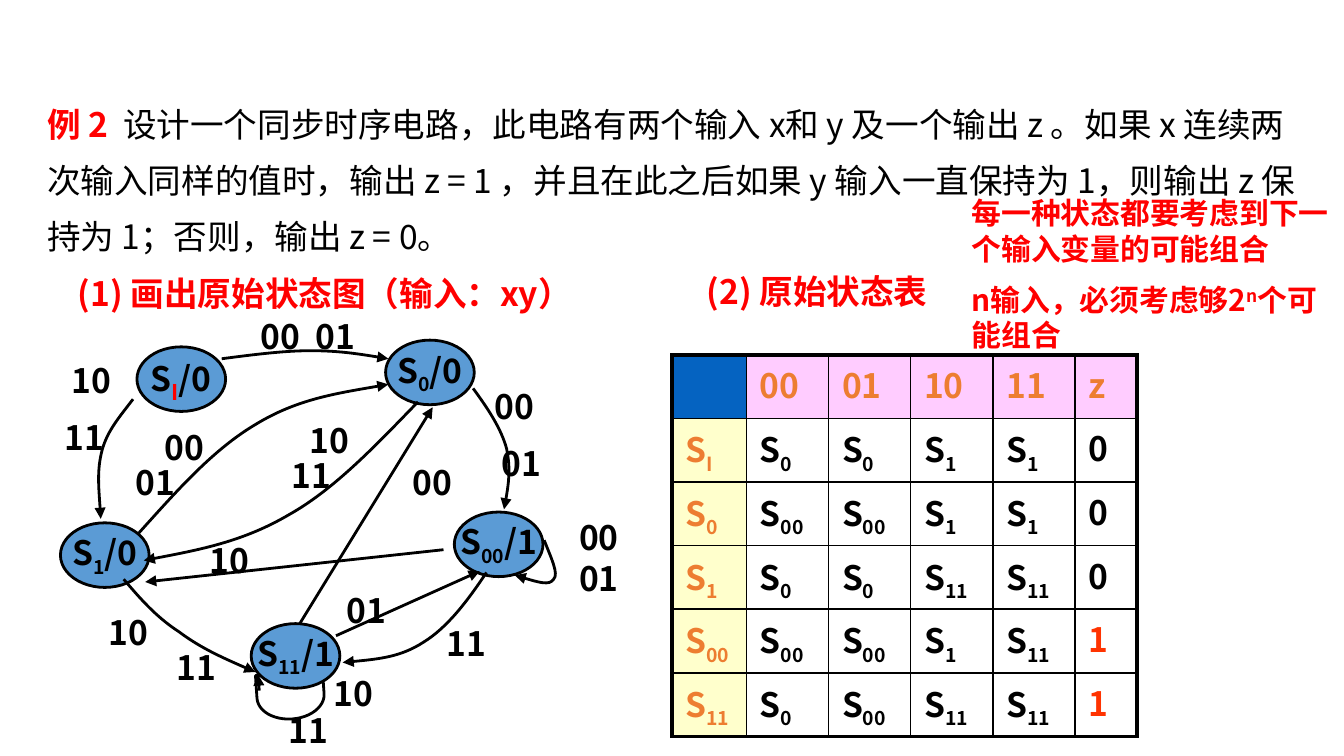
from lxml.etree import SubElement as Sub
from pptx import Presentation
from pptx.dml.color import RGBColor as RGB
from pptx.enum.shapes import MSO_CONNECTOR as Link, MSO_SHAPE as Form
from pptx.enum.text import MSO_ANCHOR as Anchor, MSO_AUTO_SIZE as Auto, PP_ALIGN as Align
from pptx.oxml.ns import qn
from pptx.util import Pt

BLACK = RGB(0, 0, 0)
WHITE = RGB(255, 255, 255)
RED = RGB(255, 0, 0)
FLAME = RGB(0xFF, 0x33, 0x00)
ORANGE = RGB(0xED, 0x7D, 0x31)
SKY = RGB(0x5B, 0x9B, 0xD5)
NAVY = RGB(0x05, 0x63, 0xC1)
PINK = RGB(0xFF, 0xCC, 0xFF)
CREAM = RGB(0xFF, 0xFF, 0xCC)
JP, SC = "Noto Sans CJK JP", "Noto Sans CJK SC"
BASE = {"_": "-25000", "^": "30000"}


def write(frame, lines, ink=BLACK, size=18, face=SC, lead=1.0, gap=9, align=Align.LEFT):
    look = {"size": Pt(size), "bold": True, "name": face}
    for i, (text, dent) in enumerate(lines):
        para = frame.paragraphs[0] if i == 0 else frame.add_paragraph()
        props = para._p.get_or_add_pPr()
        props.set("marL", str(Pt(dent)))
        props.set("indent", "0")
        flow = {"alignment": align, "line_spacing": lead, "space_before": Pt(gap if i else 0)}
        for key, val in flow.items():
            setattr(para, key, val)
        for part in text.split("|"):
            run = para.add_run()
            run.text = part.lstrip("_^")
            for key, val in look.items():
                setattr(run.font, key, val)
            run.font.color.rgb = ink
            mark = run._r.get_or_add_rPr()
            Sub(mark, qn("a:ea"), typeface=face)
            if part == " ":
                mark.set("spc", "400")
            if part[0] in BASE:
                mark.set("baseline", BASE[part[0]])


def stroke(shape, arrow=True):
    shape.line.color.rgb = BLACK
    shape.line.width = Pt(1.5)
    props = shape.element.spPr
    if props.find(qn("a:effectLst")) is None:
        Sub(props, qn("a:effectLst"))
    if arrow:
        Sub(shape.line._get_or_add_ln(), qn("a:tailEnd"), type="triangle")


deck = Presentation()
deck.slide_width, deck.slide_height = Pt(720), Pt(405)
slide = deck.slides.add_slide(deck.slide_layouts[5])

title = slide.shapes.title
place = {"left": Pt(18), "top": Pt(43.2), "width": Pt(684), "height": Pt(80)}
for key, val in place.items():
    setattr(title, key, val)
frame = title.text_frame
fit = {"word_wrap": True, "auto_size": Auto.NONE, "vertical_anchor": Anchor.TOP}
for key, val in fit.items():
    setattr(frame, key, val)
write(frame, [("例 2| |设计一个同步时序电路，此电路有两个输入 x和 y 及一个输出 z 。如果 x 连续两次输入同样的值时，"
               "输出 z = 1 ，并且在此之后如果 y 输入一直保持为 1，则输出 z 保持为 1；否则，输出 z = 0。", 0)],
      RED, face=JP, lead=1.4)
body = frame.paragraphs[0].runs[2].font
body.bold = False
body.color.rgb = BLACK

graph = slide.shapes.add_group_shape().shapes
loop = graph.add_shape(Form.FLOWCHART_DELAY, Pt(143.4), Pt(355), Pt(24.5), Pt(36))
loop.rotation = 86.1
loop.fill.background()
stroke(loop, False)

states = [
    ("S|_0|/0", 206.6, 182.2), ("S|_I|/0", 73.4, 185.8), ("S|_1|/0", 32.4, 280.1),
    ("S|_00|/1", 243.4, 274.3), ("S|_11|/1", 134.6, 334.1),
]
for name, x, y in states:
    node = graph.add_shape(Form.OVAL, Pt(x), Pt(y), Pt(47.5), Pt(34.6))
    node.fill.solid()
    node.fill.fore_color.rgb = SKY
    stroke(node, False)
    node.text_frame.word_wrap = False
    node.text_frame.vertical_anchor = Anchor.MIDDLE
    write(node.text_frame, [(name, 0)], align=Align.CENTER)
    if "_I" in name:
        start = node.text_frame.paragraphs[0].runs[1].font
        start.size = Pt(20)
        start.color.rgb = RED

curves = [
    [(1.65, 2.67), (1.88, 2.64), (2.11, 2.61), (2.31, 2.61), (2.52, 2.61), (2.71, 2.64), (2.89, 2.67)],
    [(0.99, 2.97), (0.9, 3.09), (0.8, 3.2), (0.76, 3.35), (0.72, 3.5), (0.74, 3.68), (0.75, 3.86)],
    [(3.52, 2.89), (3.63, 3.04), (3.73, 3.19), (3.77, 3.34), (3.8, 3.49), (3.78, 3.64), (3.75, 3.79)],
    [(0.92, 4.31), (1.04, 4.45), (1.16, 4.59), (1.33, 4.7), (1.49, 4.82), (1.69, 4.91), (1.9, 5)],
    [(1.03, 3.97), (1.31, 3.66), (1.58, 3.35), (1.9, 3.16), (2.21, 2.97), (2.55, 2.92), (2.89, 2.86)],
    [(3.11, 2.99), (2.8, 3.31), (2.49, 3.64), (2.15, 3.83), (1.81, 4.03), (1.44, 4.1), (1.07, 4.17)],
    [(3.62, 4.26), (3.48, 4.47), (3.33, 4.67), (3.15, 4.78), (2.98, 4.89), (2.77, 4.91), (2.55, 4.93)],
    [(4.05, 4.02), (4.1, 4.15), (4.16, 4.27), (4.12, 4.31), (4.09, 4.36), (3.96, 4.32), (3.83, 4.28)],
]
for curve in curves:
    dots = [(x * 7200, y * 7200) for x, y in curve]
    pen = graph.build_freeform(*dots[0], scale=Pt(0.01))
    pen.add_line_segments(dots[1:], close=False)
    arc = pen.convert_to_shape()
    path = arc.element.find(".//" + qn("a:path"))
    legs = path.findall(qn("a:lnTo"))
    for i in range(0, len(legs), 3):
        bend = Sub(path, qn("a:cubicBezTo"))
        for leg in legs[i:i + 3]:
            bend.append(leg[0])
            path.remove(leg)
    arc.fill.background()
    stroke(arc)

edges = [
    (138.9, 370, 138.2, 361.4), (237.6, 294.5, 77.8, 311.8),
    (160.6, 334.1, 231.8, 218.2), (180, 340.6, 257, 306),
]
for edge in edges:
    stroke(graph.add_connector(Link.STRAIGHT, *map(Pt, edge)))

labels = [
    (132.5, 165.6, 82.8, 31.7, [("00| |01", 0)], {}),
    (27.4, 189.4, 41.8, 67.7, [("10", 4), ("11", 0)], {}),
    (257.8, 203, 53.3, 61.9, [("00", 0), ("01", 4)], {}),
    (51.1, 334.8, 78, 41, [("10", 0), ("11", 36.6)], {"lead": 0.45}),
    (65.5, 235.4, 59, 41, [("00", 15.7), ("01", 0)], {"lead": 0.45}),
    (149, 231.8, 53.3, 41, [("10", 10), ("11", 0)], {"lead": 0.45}),
    (303.1, 273.6, 41.8, 55.4, [("00", 0), ("01", 0)], {"gap": 0}),
    (147.6, 366.5, 66, 43.9, [("10", 24), ("11", 0)], {"lead": 0.5}),
    (105.1, 285.8, 42, 31.7, [("10", 0)], {}),
    (213.8, 244.1, 41.8, 31.7, [("00", 0)], {}),
    (178.6, 312.5, 41.8, 31.7, [("01", 0)], {}),
    (208.1, 333.4, 66, 25.2, [("11", 24)], {"lead": 0.85}),
]
notes = [
    (34.6, 142.6, 292.3, 28.8, [("(1) 画出原始状态图（输入：xy）", 0)], {"ink": RED, "face": JP}),
    (371.5, 141.5, 253.4, 31.7, [("(2) 原始状态表", 0)], {"ink": RED, "face": JP}),
    (513.4, 100.8, 213.8, 94.3,
     [("每一种状态都要考虑到下一个输入变量的可能组合", 0), ("n输入，必须考虑够2|^n|个可能组合", 0)],
     {"ink": RED, "face": JP, "size": 16, "gap": 8}),
]
for pool, items in ((graph, labels), (slide.shapes, notes)):
    for *area, lines, style in items:
        box = pool.add_textbox(*map(Pt, area))
        box.text_frame.word_wrap = True
        write(box.text_frame, lines, **style)

rows = [
    ["", "00", "01", "10", "11", "z"],
    ["S|_I", "S|_0", "S|_0", "S|_1", "S|_1", "0"],
    ["S|_0", "S|_00", "S|_00", "S|_1", "S|_1", "0"],
    ["S|_1", "S|_0", "S|_0", "S|_11", "S|_11", "0"],
    ["S|_00", "S|_00", "S|_00", "S|_1", "S|_11", "1"],
    ["S|_11", "S|_0", "S|_00", "S|_11", "S|_11", "1"],
]
wide = [39.9, 44, 44, 44, 44, 33.2]
grid = slide.shapes.add_table(6, 6, Pt(360), Pt(190.1), Pt(sum(wide)), Pt(204.6)).table
grid.first_row = grid.horz_banding = False
for col, w in zip(grid.columns, wide):
    col.width = Pt(w)
for r, row in enumerate(rows):
    grid.rows[r].height = Pt(34.1)
    for c, text in enumerate(row):
        cell = grid.cell(r, c)
        props = cell._tc.get_or_add_tcPr()
        rims = {"a:lnL": c == 0, "a:lnR": c == 5, "a:lnT": r == 0, "a:lnB": r == 5}
        for tag, outer in rims.items():
            rim = Sub(props, qn(tag), w=str(Pt(2.25 if outer else 1)))
            Sub(Sub(rim, qn("a:solidFill")), qn("a:srgbClr"), val=str(BLACK))
        cell.fill.solid()
        cell.fill.fore_color.rgb = NAVY if r == c == 0 else PINK if r == 0 else CREAM if c == 0 else WHITE
        pads = {"vertical_anchor": Anchor.MIDDLE, "margin_top": Pt(3), "margin_bottom": Pt(3)}
        for key, val in pads.items():
            setattr(cell, key, val)
        if text:
            ink = ORANGE if r == 0 or c == 0 else FLAME if text == "1" else BLACK
            write(cell.text_frame, [(text, 0)], ink, lead=0.8)

deck.save("out.pptx")
